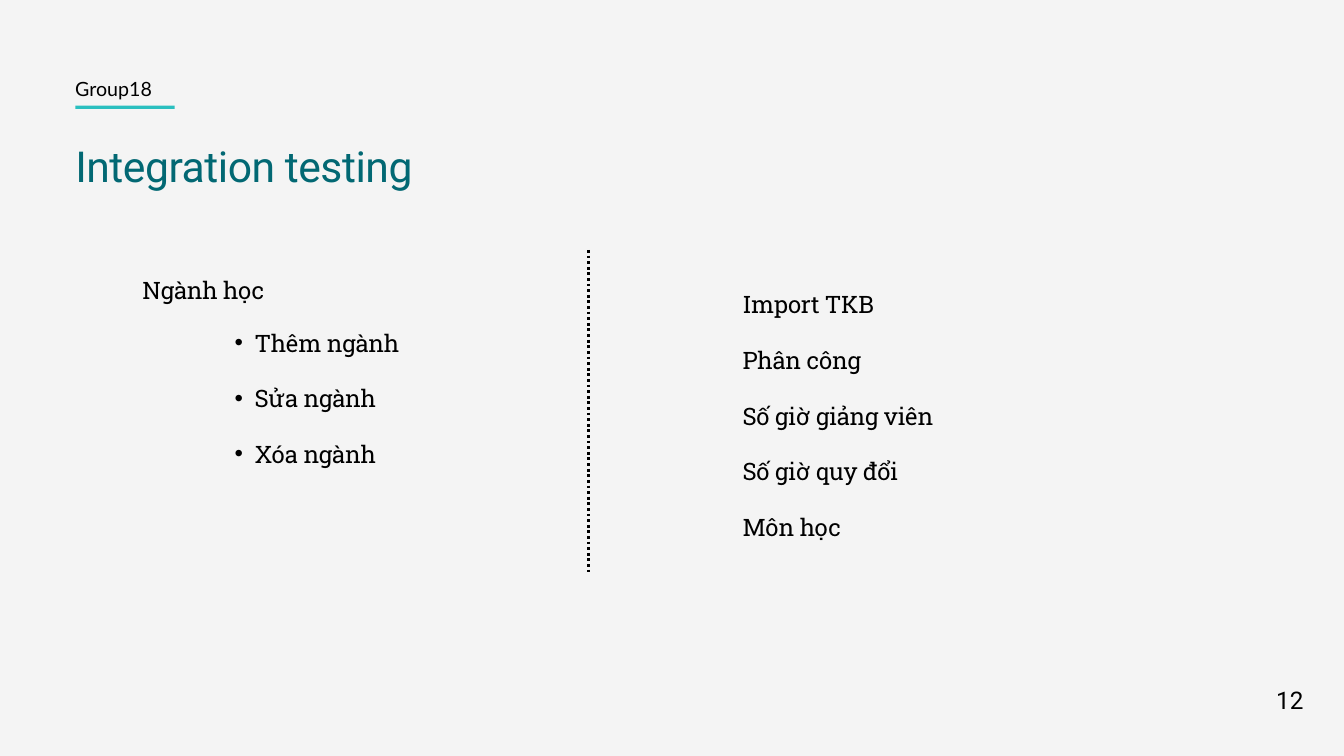
from lxml import etree
from pptx import Presentation
from pptx import util as u
from pptx.dml.color import RGBColor
from pptx.enum import dml, shapes, text
from pptx.oxml import ns

INK, TEAL, AQUA, PAPER = "000000", "026873", "2ABFBF", "F4F4F4"
SLAB = dict(face="Roboto Slab", size=25.7, lead=36, track=-0.3)


def tint(code):
    return RGBColor.from_string(code)


class Deck:
    def __init__(self, wide, high):
        self.deck = Presentation()
        self.deck.slide_width = u.Inches(wide)
        self.deck.slide_height = u.Inches(high)
        self.slide = self.deck.slides.add_slide(self.deck.slide_layouts[3])
        fill = self.slide.background.fill
        fill.solid()
        fill.fore_color.rgb = tint(PAPER)

    def style(self, shape, lines, face, size, lead, track=0, color=INK,
              gap=0, level=0, hang=None):
        frame = shape.text_frame
        frame.text = "\n".join(lines)
        frame.word_wrap = True
        frame.auto_size = text.MSO_AUTO_SIZE.NONE
        frame.vertical_anchor = text.MSO_ANCHOR.TOP
        frame.margin_left = frame.margin_right = 0
        frame.margin_top = frame.margin_bottom = 0
        left, first = hang or (0, 0)
        for row, para in enumerate(frame.paragraphs):
            props = para._p.get_or_add_pPr()
            props.set("marL", str(u.Inches(left)))
            props.set("indent", str(u.Inches(first)))
            if hang:
                etree.SubElement(props, ns.qn("a:buChar")).set("char", "•")
            else:
                etree.SubElement(props, ns.qn("a:buNone"))
            para.level = level
            para.alignment = text.PP_ALIGN.LEFT
            para.line_spacing = u.Pt(lead)
            para.space_before = u.Pt(gap if row else 0)
            para.space_after = u.Pt(0)
            for run in para.runs:
                run.font.name = face
                run.font.size = u.Pt(size)
                run.font.color.rgb = tint(color)
                if track:
                    run._r.get_or_add_rPr().set("spc", str(round(track * 100)))

    def label(self, words, box, **style):
        shape = self.slide.shapes.add_textbox(*map(u.Inches, box))
        self.style(shape, [words], **style)

    def holder(self, index, lines, box, **style):
        shape = self.slide.placeholders[index]
        shape.left, shape.top, shape.width, shape.height = map(u.Inches, box)
        self.style(shape, lines, **style)

    def bar(self, box, color):
        shape = self.slide.shapes.add_shape(
            shapes.MSO_SHAPE.RECTANGLE, *map(u.Inches, box))
        shape.shadow.inherit = False
        shape.fill.solid()
        shape.fill.fore_color.rgb = tint(color)
        shape.line.fill.background()

    def rule(self, ends, color, width):
        line = self.slide.shapes.add_connector(
            shapes.MSO_CONNECTOR.STRAIGHT, *map(u.Inches, ends))
        line.line.color.rgb = tint(color)
        line.line.width = u.Pt(width)
        line.line.dash_style = dml.MSO_LINE.ROUND_DOT
        etree.SubElement(line._element.spPr, ns.qn("a:effectLst"))

    def save(self):
        self.deck.save("out.pptx")


def main():
    deck = Deck(20, 11.25)
    deck.label("Group18", (1.12, 1.09, 1.6, 0.38),
               face="Lato", size=21, lead=29.4)
    deck.bar((1.12, 1.57, 1.48, 0.05), AQUA)
    deck.holder(0, ["Integration testing"], (1.12, 1.96, 5.63, 0.85),
                face="Roboto", size=45.7, lead=64, track=-0.5, color=TEAL)
    deck.label("Ngành học", (2.12, 4.03, 2.12, 0.48), **SLAB)
    deck.holder(1, ["Thêm ngành", "Sửa ngành", "Xóa ngành"],
                (3.18, 4.81, 5.25, 2.14),
                gap=23.6, level=1, hang=(0.61, -0.3), **SLAB)
    deck.holder(2, ["Import TKB", "Phân công", "Số giờ giảng viên",
                    "Số giờ quy đổi", "Môn học"],
                (11.05, 4.24, 5.25, 3.79), gap=23.6, **SLAB)
    deck.rule((8.76, 3.72, 8.76, 8.52), INK, 3)
    deck.label("12", (18.99, 10.13, 1.01, 0.48),
               face="Roboto", size=26, lead=36.4)
    deck.save()


if __name__ == "__main__":
    main()
